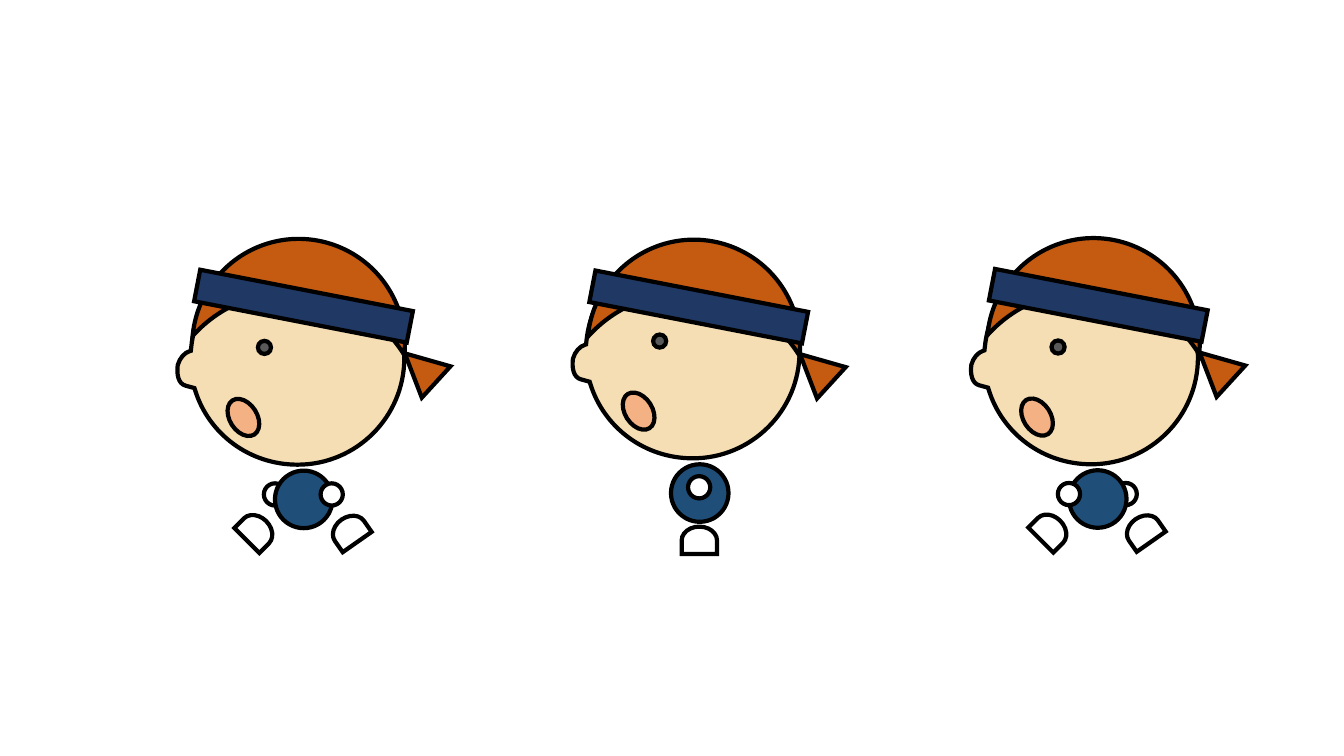
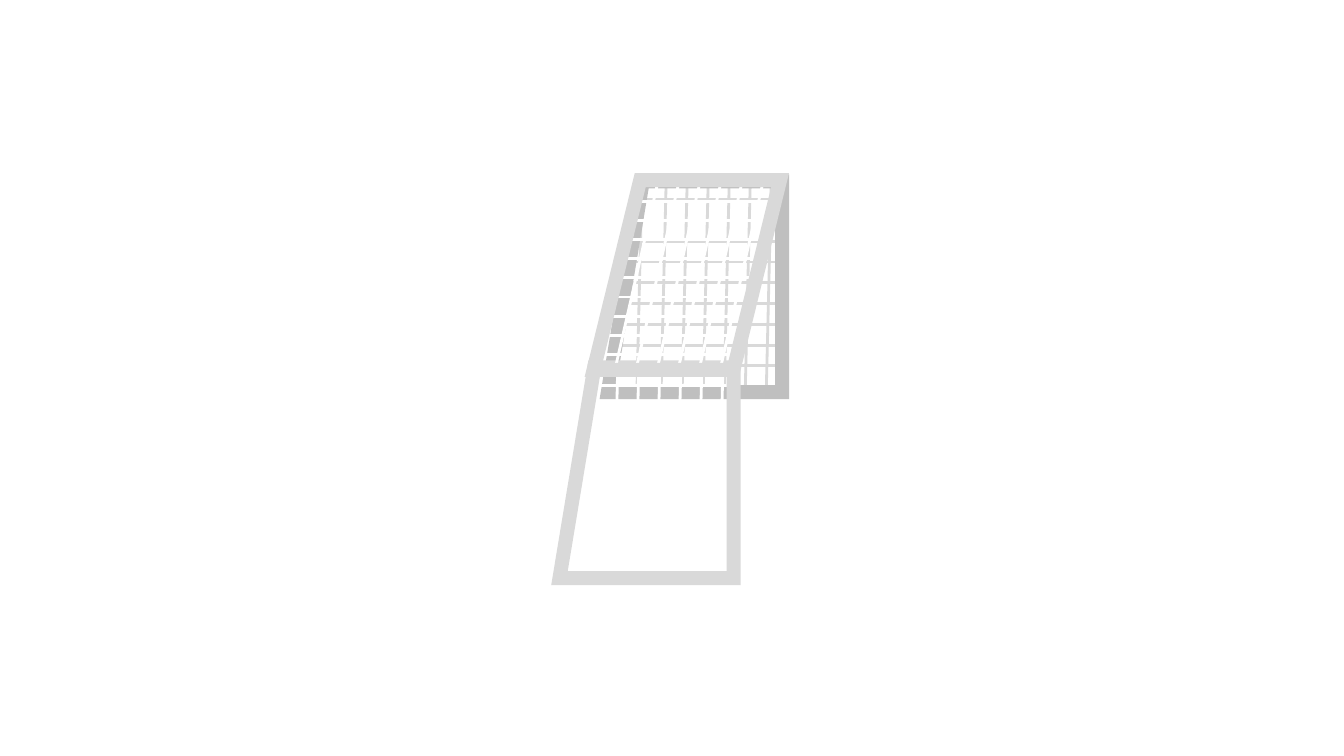
from lxml import etree
from pptx import Presentation
from pptx.dml.color import RGBColor
from pptx.enum import shapes
from pptx.oxml import ns
from pptx.util import Cm, Pt

COLORS = {
    "outline": "000000",
    "white": "FFFFFF",
    "skin": "F5DEB4",
    "eye": "595959",
    "mouth": "F4B183",
    "hair": "C55A11",
    "headband": "203864",
    "shirt": "1F4E79",
    "back_frame": "BFBFBF",
    "frame": "D9D9D9",
}
PRESET = shapes.MSO_SHAPE
OUTLINE_WIDTH = 3
FRAME_WIDTH = 10
NET_WIDTH = 2

# Head outline with the nose: one point is a line, three are a Bézier curve.
FACE_START = (3.05, 0)
FACE_SEGMENTS = [
    [(4.53, 0), (5.74, 1.21), (5.74, 2.69)],
    [(5.74, 4.18), (4.53, 5.38), (3.05, 5.38)],
    [(1.83, 5.38), (0.81, 4.6), (0.47, 3.51)],
    [(0.45, 3.45)],
    [(0.23, 3.39)],
    [(0.04, 3.34), (0, 3.1), (0.03, 2.87)],
    [(0.08, 2.69), (0.2, 2.56), (0.33, 2.52)],
    [(0.36, 2.51)],
    [(0.37, 2.42)],
    [(0.51, 1.06), (1.65, 0), (3.05, 0)],
]

# Hands and feet as offsets from the body; feet also have a rotation.
LEFT_HAND, RIGHT_HAND, MIDDLE_HAND = (-0.28, 0.32), (1.15, 0.32), (0.43, 0.3)
STRIDE = [(-0.81, 1.07, 315), (1.53, 1.07, 235)]
STANCE = [(0.37, 1.47, 270)]

RUNNERS = [
    {"face": (4.45, 6.33), "headband": (4.92, 7.31), "body": (6.93, 11.86),
     "back_hands": [LEFT_HAND], "front_hand": RIGHT_HAND, "feet": STRIDE},
    {"face": (14.41, 6.17), "headband": (14.88, 7.33), "body": (16.91, 11.7),
     "back_hands": [], "front_hand": MIDDLE_HAND, "feet": STANCE},
    {"face": (24.45, 6.32), "headband": (24.95, 7.29), "body": (26.94, 11.85),
     "back_hands": [RIGHT_HAND], "front_hand": LEFT_HAND, "feet": STRIDE},
]

# Left ends of the net's horizontal cords, from the top down.
CORD_STARTS = [0.61, 0.56, 0.46, 0.36, 0.36, 0.15, 0, 0, 0]


def rgb(name):
    return RGBColor.from_string(COLORS[name])


def style_line(shape, color, width):
    """Give a solid line with sharp corners."""
    shape.line.color.rgb = rgb(color)
    shape.line.width = Pt(width)
    line = shape.line._get_or_add_ln()
    etree.SubElement(line, ns.qn("a:miter")).set("lim", "800000")


def style_shape(shape, fill, line="outline", width=OUTLINE_WIDTH):
    shape.shadow.inherit = False
    if fill:
        shape.fill.solid()
        shape.fill.fore_color.rgb = rgb(fill)
    else:
        shape.fill.background()
    style_line(shape, line, width)


def add_part(group, preset, origin, offset, size, fill, rotation=0, **line):
    """Add a preset shape at an offset from its origin, in centimetres."""
    left, top = origin[0] + offset[0], origin[1] + offset[1]
    shape = group.shapes.add_shape(
        preset, Cm(left), Cm(top), Cm(size[0]), Cm(size[1]))
    shape.rotation = rotation
    style_shape(shape, fill, **line)
    return shape


def add_cord(group, origin, start, end, color):
    x, y = origin
    cord = group.shapes.add_connector(
        shapes.MSO_CONNECTOR.STRAIGHT,
        Cm(x + start[0]), Cm(y + start[1]), Cm(x + end[0]), Cm(y + end[1]))
    style_line(cord, color, NET_WIDTH)
    etree.SubElement(cord._element.spPr, ns.qn("a:effectLst"))


def bend_segments(shape, segments):
    """Turn each run of three lines that stands for a curve into that curve."""
    lines = iter(list(shape._element.iter(ns.qn("a:lnTo"))))
    for segment in segments:
        parts = [next(lines) for _ in segment]
        if len(parts) == 3:
            curve = etree.Element(ns.qn("a:cubicBezTo"))
            parts[0].addprevious(curve)
            for part in parts:
                curve.append(part[0])
                part.getparent().remove(part)


def add_face(group, origin):
    x, y = origin
    points = [FACE_START] + [p for segment in FACE_SEGMENTS for p in segment]
    outline = [(Cm(x + dx), Cm(y + dy)) for dx, dy in points]
    builder = group.shapes.build_freeform(*outline[0])
    builder.add_line_segments(outline[1:], close=True)
    head = builder.convert_to_shape()
    bend_segments(head, FACE_SEGMENTS)
    style_shape(head, "skin")
    add_part(group, PRESET.OVAL, origin, (2.05, 2.26), (0.33, 0.33), "eye")
    add_part(group, PRESET.OVAL, origin, (1.34, 3.68), (0.69, 1.02),
             "mouth", 327.4)


def add_hair(group, origin):
    """Add the hair, the headband and its knot."""
    add_part(group, PRESET.MOON, origin, (1.38, -2.62), (2.69, 5.36),
             "hair", 95.2)
    add_part(group, PRESET.RECTANGLE, origin, (0, 0), (5.46, 0.81),
             "headband", 11)
    add_part(group, PRESET.FLOWCHART_MERGE, origin, (5.14, 1.42),
             (1.07, 1.07), "hair", 132.4)


def add_hand(group, origin, offset):
    add_part(group, PRESET.OVAL, origin, offset, (0.56, 0.56), "white")


def add_body(group, runner):
    body = runner["body"]
    for hand in runner["back_hands"]:
        add_hand(group, body, hand)
    add_part(group, PRESET.OVAL, body, (0, 0), (1.45, 1.45), "shirt")
    add_hand(group, body, runner["front_hand"])
    for x, y, rotation in runner["feet"]:
        add_part(group, PRESET.FLOWCHART_DELAY, body, (x, y), (0.69, 0.89),
                 "white", rotation)


def add_runners(slide):
    group = slide.shapes.add_group_shape()
    for runner in RUNNERS:
        add_body(group, runner)
        add_face(group, runner["face"])
        add_hair(group, runner["headband"])


def add_upright_panel(slide, origin, net, frame):
    group = slide.shapes.add_group_shape()
    for x in [0.69] + [1.3 + 0.53 * i for i in range(6)]:
        add_cord(group, origin, (x, 0), (x - 0.13, 5.41), net)
    for i, start in enumerate(CORD_STARTS):
        y = 0.56 + 4.19 * i / 8
        add_cord(group, origin, (start, y), (4.27, y), net)
    panel = add_part(group, PRESET.FLOWCHART_MANUAL_INPUT, origin,
                     (-0.63, 0.56), (5.31, 4.39), None, 270,
                     line=frame, width=FRAME_WIDTH)
    panel._element.spPr.get_or_add_xfrm().set("flipH", "1")


def add_sloping_panel(slide, origin):
    group = slide.shapes.add_group_shape()
    for i in range(6):
        x = 1.63 + 0.53 * i
        add_cord(group, origin, (x, 0), (x - 1.08, 4.72), "white")
    for i in range(9):
        x, y = 1.09 - 0.99 * i / 8, 0.53 + 3.86 * i / 8
        add_cord(group, origin, (x, y), (x + 3.41, y), "white")
    add_part(group, PRESET.PARALLELOGRAM, origin, (0, 0), (4.7, 4.78), None,
             line="frame", width=FRAME_WIDTH)


def add_blank_slide(presentation):
    return presentation.slides.add_slide(presentation.slide_layouts[6])


def main():
    presentation = Presentation()
    presentation.slide_width = Cm(33.87)
    presentation.slide_height = Cm(19.05)

    add_runners(add_blank_slide(presentation))

    goal_slide = add_blank_slide(presentation)
    add_upright_panel(goal_slide, (15.49, 4.47), "frame", "back_frame")
    add_upright_panel(goal_slide, (14.27, 9.16), "white", "frame")
    add_sloping_panel(goal_slide, (14.96, 4.54))

    presentation.save("out.pptx")


if __name__ == "__main__":
    main()
